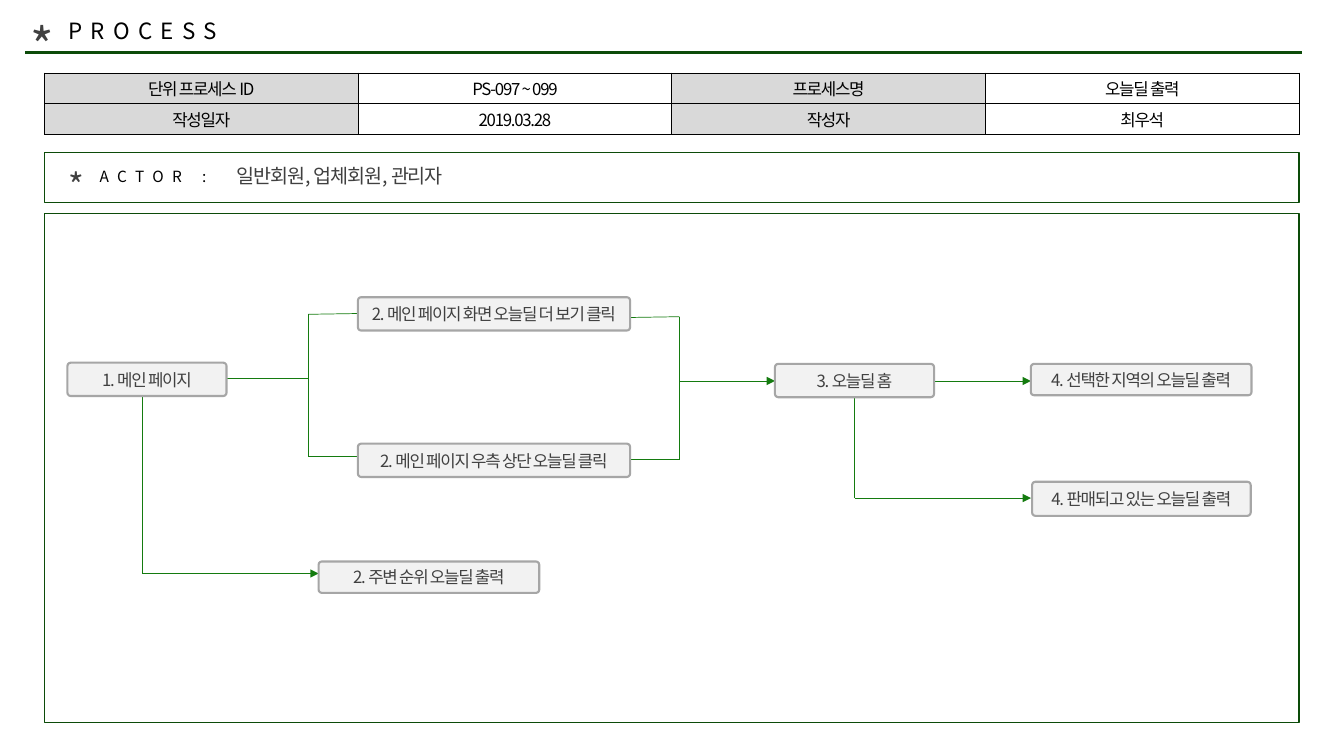
from lxml import etree
from pptx import Presentation
from pptx import util as u
from pptx.dml import color
from pptx.enum import shapes, text
from pptx.oxml import ns

FONT = "Noto Sans CJK KR"
BLACK, GRAY = "000000", "404040"
DARK_GREEN, GREEN = "0C4B09", "147B0F"


def rgb(value):
    return color.RGBColor.from_string(value)


def add_element(parent, tag, **attributes):
    return etree.SubElement(parent, ns.qn(tag), attributes)


class ProcessSlide:
    def __init__(self, presentation):
        self.slide = presentation.slides.add_slide(presentation.slide_layouts[6])

    def style_text(self, paragraph, size, ink, spacing=-90):
        for run in paragraph.runs:
            run.font.size = u.Pt(size)
            run.font.name = FONT
            run.font.color.rgb = rgb(ink)
            properties = run.font._element
            properties.set("spc", str(spacing))
            add_element(properties, "a:ea", typeface=FONT)

    def label(self, content, box, size, ink, spacing=-90):
        shape = self.slide.shapes.add_textbox(*map(u.Cm, box))
        frame = shape.text_frame
        frame.word_wrap = True
        frame.text = content
        self.style_text(frame.paragraphs[0], size, ink, spacing)

    def frame(self, box):
        shape = self.slide.shapes.add_shape(shapes.MSO_SHAPE.RECTANGLE, *map(u.Cm, box))
        shape.shadow.inherit = False
        shape.fill.background()
        shape.line.color.rgb = rgb(DARK_GREEN)
        shape.line.width = u.Pt(1)

    def step(self, content, box):
        shape = self.slide.shapes.add_shape(
            shapes.MSO_SHAPE.ROUNDED_RECTANGLE, *map(u.Cm, box))
        shape.adjustments[0] = 0.1
        shape.shadow.inherit = False
        shape.fill.solid()
        shape.fill.fore_color.rgb = rgb("F2F2F2")
        shape.line.color.rgb = rgb("A6A6A6")
        shape.line.width = u.Pt(1.5)
        frame = shape.text_frame
        frame.margin_left = frame.margin_right = u.Cm(0.1)
        frame.margin_top = frame.margin_bottom = u.Cm(0.1)
        frame.vertical_anchor = text.MSO_ANCHOR.MIDDLE
        frame.word_wrap = True
        frame.text = content
        frame.paragraphs[0].alignment = text.PP_ALIGN.CENTER
        self.style_text(frame.paragraphs[0], 12, GRAY)

    def line(self, points, ink=GREEN, width=0.5, arrow=False):
        connector = self.slide.shapes.add_connector(
            shapes.MSO_CONNECTOR.STRAIGHT, *map(u.Cm, points))
        connector.line.color.rgb = rgb(ink)
        connector.line.width = u.Pt(width)
        if arrow:
            add_element(connector.line._get_or_add_ln(), "a:tailEnd", type="triangle")
        add_element(connector._element.spPr, "a:effectLst")

    def border(self, cell):
        properties = cell._tc.get_or_add_tcPr()
        for index, side in enumerate(("a:lnL", "a:lnR", "a:lnT", "a:lnB")):
            edge = etree.Element(ns.qn(side), w=str(u.Pt(0.5)))
            fill = add_element(edge, "a:solidFill")
            add_element(fill, "a:srgbClr", val=BLACK)
            properties.insert(index, edge)

    def table(self, rows, box):
        left, top, width, height = map(u.Cm, box)
        table = self.slide.shapes.add_table(
            len(rows), len(rows[0]), left, top, width, height).table
        table.first_row = table.horz_banding = False
        for row_index, row in enumerate(rows):
            for column_index, content in enumerate(row):
                cell = table.cell(row_index, column_index)
                cell.margin_top = cell.margin_bottom = u.Cm(0.05)
                cell.vertical_anchor = text.MSO_ANCHOR.MIDDLE
                if column_index % 2:
                    cell.fill.background()
                else:
                    cell.fill.solid()
                    cell.fill.fore_color.rgb = rgb("D9D9D9")
                self.border(cell)
                cell.text_frame.text = content
                paragraph = cell.text_frame.paragraphs[0]
                paragraph.alignment = text.PP_ALIGN.CENTER
                self.style_text(paragraph, 12, BLACK)


def main():
    presentation = Presentation()
    presentation.slide_width = u.Cm(33.87)
    presentation.slide_height = u.Cm(19.05)
    page = ProcessSlide(presentation)

    page.line((0.64, 1.32, 32.82, 1.32), DARK_GREEN, 2.25)
    page.label("*", (0.51, 0.25, 1.32, 1.8), 36, GRAY)
    page.label("PROCESS", (1.47, 0.3, 10.97, 0.94), 16, BLACK, 600)
    page.table([
        ("단위 프로세스 ID", "PS-097 ~ 099", "프로세스명", "오늘딜 출력"),
        ("작성일자", "2019.03.28", "작성자", "최우석"),
    ], (1.12, 1.84, 31.62, 1.55))

    page.label("*", (1.47, 4.04, 1.32, 1.27), 24, GRAY)
    page.label("ACTOR :", (2.26, 4.09, 3.38, 0.74), 11, BLACK, 600)
    page.frame((1.12, 3.84, 31.62, 1.27))
    page.label("일반회원, 업체회원, 관리자", (5.72, 4.01, 10.97, 0.86), 14, GRAY)
    page.frame((1.12, 5.38, 31.62, 12.83))

    fork, merge, middle = 7.77, 17.12, 9.6
    for points in (
        (5.72, 9.53, fork, 9.53),
        (fork, 7.92, fork, 11.51),
        (fork, 7.92, 9.02, 7.9),
        (fork, 11.51, 9.02, 11.51),
        (15.88, 8, merge, 7.98),
        (15.88, 11.58, merge, 11.58),
        (merge, 7.98, merge, 11.58),
        (21.54, 9.98, 21.54, 12.55),
        (3.58, 9.98, 3.58, 14.45),
    ):
        page.line(points)
    for points in (
        (merge, middle, 19.53, middle),
        (23.55, middle, 25.98, middle),
        (21.54, 12.55, 25.98, 12.55),
        (3.58, 14.45, 8.03, 14.45),
    ):
        page.line(points, arrow=True)

    for content, box in (
        ("1. 메인 페이지", (1.7, 9.14, 4.01, 0.84)),
        ("2. 메인 페이지 화면 오늘딜 더 보기 클릭", (9.02, 7.49, 6.86, 0.84)),
        ("2. 메인 페이지 우측 상단 오늘딜 클릭", (9.02, 11.18, 6.86, 0.84)),
        ("2. 주변 순위 오늘딜 출력", (8.03, 14.15, 5.56, 0.79)),
        ("3. 오늘딜 홈", (19.53, 9.17, 4.01, 0.84)),
        ("4. 선택한 지역의 오늘딜 출력", (25.98, 9.17, 5.56, 0.79)),
        ("4. 판매되고 있는 오늘딜 출력", (26.01, 12.14, 5.51, 0.86)),
    ):
        page.step(content, box)

    presentation.save("out.pptx")


if __name__ == "__main__":
    main()
